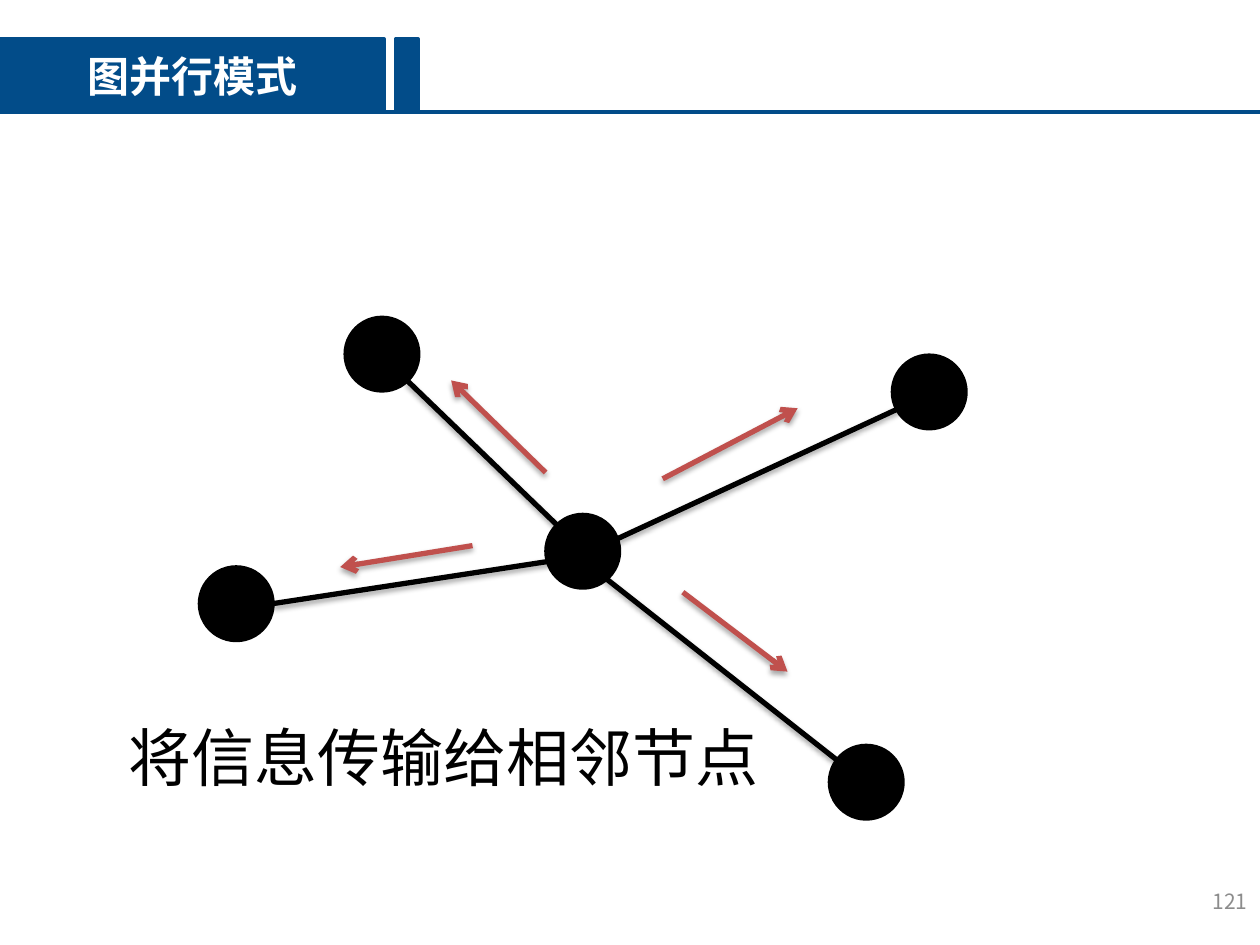
"""Build the slide on the graph-parallel pattern: a centre node sending to its neighbours."""
from lxml import etree
from pptx import Presentation
from pptx.dml.color import RGBColor
from pptx.enum import shapes, text
from pptx.oxml import ns
from pptx.util import Pt

FONT = "Noto Sans CJK SC"
BLUE, BLACK, RED, WHITE, GRAY = "024C89", "000000", "C0504D", "FFFFFF", "8C8C8C"
NODE_SIZE = 42
NODES = [(312, 294), (197.3, 181.4), (114, 324), (510, 203), (474, 426)]
HUB = (330.5, 318.2)
EDGES = [
    ((232.6, 217.4), (330.5, 311.8)),
    ((156.2, 344.9), HUB),
    ((534.2, 223.9), HUB),
    ((498.2, 450), HUB),
]
MESSAGES = [
    ((311.8, 270), (257.8, 217.4)),
    ((270, 311.8), (194.4, 324)),
    ((390.2, 338.4), (450, 383.8)),
    ((378.7, 273.6), (455.8, 233.3)),
]
BANNER_TOP, BANNER_HEIGHT = 22.3, 41.8
BANNER = [(0, 219.6, "图并行模式"), (226, 13, "")]


def color(value):
    return RGBColor.from_string(value)


def write(shape, content, size, fill, bold=False, align="LEFT", anchor="TOP", wrap=True):
    frame = shape.text_frame
    frame.word_wrap = wrap
    frame.vertical_anchor = getattr(text.MSO_ANCHOR, anchor)
    paragraph = frame.paragraphs[0]
    paragraph.alignment = getattr(text.PP_ALIGN, align)
    run = paragraph.add_run()
    run.text = content
    font = run.font
    font.name, font.size, font.bold = FONT, Pt(size), bold
    font.color.rgb = color(fill)
    east_asian = etree.SubElement(font._element, ns.qn("a:ea"))
    east_asian.set("typeface", FONT)


def add_box(slide, kind, left, top, width, height, fill):
    shape = slide.shapes.add_shape(kind, Pt(left), Pt(top), Pt(width), Pt(height))
    shape.shadow.inherit = False
    shape.fill.solid()
    shape.fill.fore_color.rgb = color(fill)
    shape.line.color.rgb = color(fill)
    shape.line.width = Pt(2)
    return shape


def add_textbox(slide, left, top, width, height):
    return slide.shapes.add_textbox(Pt(left), Pt(top), Pt(width), Pt(height))


def add_line(slide, start, end, stroke, width=3, arrow=False, shadow=True):
    line = slide.shapes.add_connector(
        shapes.MSO_CONNECTOR.STRAIGHT, *(Pt(value) for value in start + end))
    line.line.color.rgb = color(stroke)
    line.line.width = Pt(width)
    properties = line._element.spPr
    if arrow:
        outline = properties.find(ns.qn("a:ln"))
        etree.SubElement(outline, ns.qn("a:tailEnd"), type="arrow")
    effects = etree.SubElement(properties, ns.qn("a:effectLst"))
    if shadow:
        outer = etree.SubElement(
            effects, ns.qn("a:outerShdw"), blurRad=str(Pt(3.1)), dist=str(Pt(1.8)),
            dir="5400000", rotWithShape="0")
        shade = etree.SubElement(outer, ns.qn("a:srgbClr"), val=BLACK)
        etree.SubElement(shade, ns.qn("a:alpha"), val="35000")


def main():
    presentation = Presentation()
    presentation.slide_width, presentation.slide_height = Pt(720), Pt(540)
    slide = presentation.slides.add_slide(presentation.slide_layouts[6])

    number = add_textbox(slide, 552, 500.4, 168, 28.8)
    write(number, "121", 12, GRAY, align="RIGHT", anchor="MIDDLE")

    for left, top in NODES:
        add_box(slide, shapes.MSO_SHAPE.OVAL, left, top, NODE_SIZE, NODE_SIZE, BLACK)
    for start, end in EDGES:
        add_line(slide, start, end, BLACK)
    for start, end in MESSAGES:
        add_line(slide, start, end, RED, arrow=True)

    caption = add_textbox(slide, 66.2, 406.8, 381.6, 51.1)
    write(caption, "将信息传输给相邻节点", 36, BLACK, wrap=False)

    rule = BANNER_TOP + BANNER_HEIGHT
    add_line(slide, (0, rule), (720, rule), BLUE, width=2, shadow=False)
    for left, width, title in BANNER:
        block = add_box(slide, shapes.MSO_SHAPE.RECTANGLE, left, BANNER_TOP,
                        width, BANNER_HEIGHT, BLUE)
        if title:
            write(block, title, 24, WHITE, bold=True, align="CENTER", anchor="MIDDLE")

    presentation.save("out.pptx")


if __name__ == "__main__":
    main()
